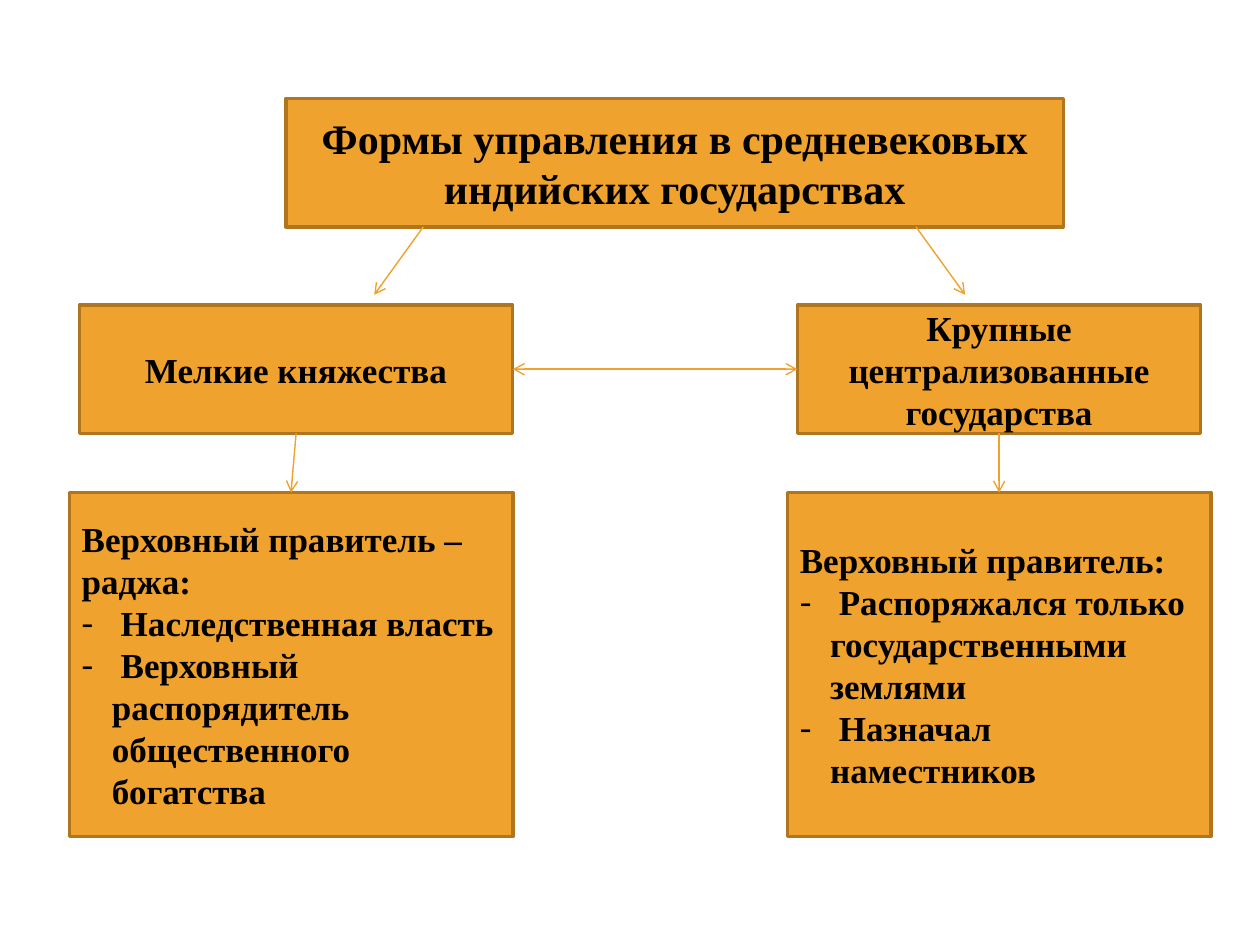
from dataclasses import dataclass

from lxml.etree import SubElement
from pptx import Presentation
from pptx.dml.color import RGBColor as Rgb
from pptx.enum.shapes import MSO_CONNECTOR as Connector, MSO_SHAPE as Shape
from pptx.enum.text import MSO_ANCHOR as Anchor, PP_ALIGN as Align
from pptx.oxml.ns import qn
from pptx.util import Inches, Pt


@dataclass(frozen=True)
class Theme:
    fill: Rgb = Rgb(0xF0, 0xA2, 0x2E)
    border: Rgb = Rgb(0xB0, 0x76, 0x1F)
    ink: Rgb = Rgb(0, 0, 0)
    font: str = "Times New Roman"
    title_size: Pt = Pt(24)
    body_size: Pt = Pt(20)
    border_width: Pt = Pt(2)
    arrow_width: Pt = Pt(0.79)
    hanging: Inches = Inches(0.24)


@dataclass(frozen=True)
class Box:
    left: float
    top: float
    width: float
    height: float

    @property
    def right(self):
        return self.left + self.width

    @property
    def bottom(self):
        return self.top + self.height


THEME = Theme()
COLUMNS, ROWS = 100, 75
SLIDE_WIDTH, SLIDE_HEIGHT = Inches(10), Inches(7.5)


def x(column):
    return round(SLIDE_WIDTH * column / COLUMNS)


def y(row):
    return round(SLIDE_HEIGHT * row / ROWS)


def add_panel(slide, box, heading, size=THEME.body_size, align=Align.CENTER, points=()):
    panel = slide.shapes.add_shape(
        Shape.RECTANGLE, x(box.left), y(box.top), x(box.width), y(box.height))
    panel.shadow.inherit = False
    panel.fill.solid()
    panel.fill.fore_color.rgb = THEME.fill
    panel.line.color.rgb = THEME.border
    panel.line.width = THEME.border_width
    frame = panel.text_frame
    frame.word_wrap = True
    frame.vertical_anchor = Anchor.MIDDLE
    for index, text in enumerate((heading, *points)):
        paragraph = frame.paragraphs[0] if index == 0 else frame.add_paragraph()
        paragraph.text = text
        paragraph.alignment = align
        if index:
            add_dash(paragraph)
        paragraph.font.name = THEME.font
        paragraph.font.size = size
        paragraph.font.bold = True
        paragraph.font.color.rgb = THEME.ink
    return panel


def add_dash(paragraph):
    properties = paragraph._p.get_or_add_pPr()
    properties.set("marL", str(THEME.hanging))
    properties.set("indent", str(-THEME.hanging))
    SubElement(properties, qn("a:buFont"), typeface=THEME.font)
    SubElement(properties, qn("a:buChar"), char="-")


def add_arrow(slide, start=(0, 0), end=(0, 0), ends=("tailEnd",)):
    arrow = slide.shapes.add_connector(
        Connector.STRAIGHT, x(start[0]), y(start[1]), x(end[0]), y(end[1]))
    arrow.line.color.rgb = THEME.fill
    arrow.line.width = THEME.arrow_width
    outline = arrow.line._get_or_add_ln()
    for tip in ends:
        SubElement(outline, qn(f"a:{tip}"), type="arrow")
    SubElement(arrow._element.spPr, qn("a:effectLst"))
    return arrow


def join(arrow, source, source_side, target, target_side):
    arrow.begin_connect(source, source_side)
    arrow.end_connect(target, target_side)


def add_title(slide, box, text):
    add_panel(slide, box, text, THEME.title_size)
    spread, drop = 3.9, 5.4
    for column, shift in ((box.left + 10.9, -spread), (box.right - 11.7, spread)):
        add_arrow(slide, (column, box.bottom), (column + shift, box.bottom + drop))


def add_branch(slide, state_box, ruler_box, state, ruler, powers):
    state_panel = add_panel(slide, state_box, state)
    ruler_panel = add_panel(slide, ruler_box, ruler, align=Align.LEFT, points=powers)
    join(add_arrow(slide), state_panel, 2, ruler_panel, 0)
    return state_panel


def main():
    deck = Presentation()
    deck.slide_width, deck.slide_height = SLIDE_WIDTH, SLIDE_HEIGHT
    slide = deck.slides.add_slide(deck.slide_layouts[6])

    add_title(slide, Box(22.7, 7.8, 61.7, 10.2),
              "Формы управления в средневековых индийских государствах")

    state_top, state_height = 24.2, 10.2
    ruler_top, ruler_height = 39.1, 27.3
    principalities = add_branch(
        slide,
        Box(6.3, state_top, 34.4, state_height),
        Box(5.5, ruler_top, 35.2, ruler_height),
        "Мелкие княжества",
        "Верховный правитель – раджа:",
        (" Наследственная власть",
         " Верховный распорядитель общественного богатства"))
    centralized_states = add_branch(
        slide,
        Box(63.3, state_top, 32, state_height),
        Box(62.5, ruler_top, 33.6, ruler_height),
        "Крупные централизованные государства",
        "Верховный правитель:",
        (" Распоряжался только государственными землями",
         " Назначал наместников"))
    join(add_arrow(slide, ends=("headEnd", "tailEnd")),
         principalities, 3, centralized_states, 1)

    deck.save("out.pptx")


if __name__ == "__main__":
    main()
